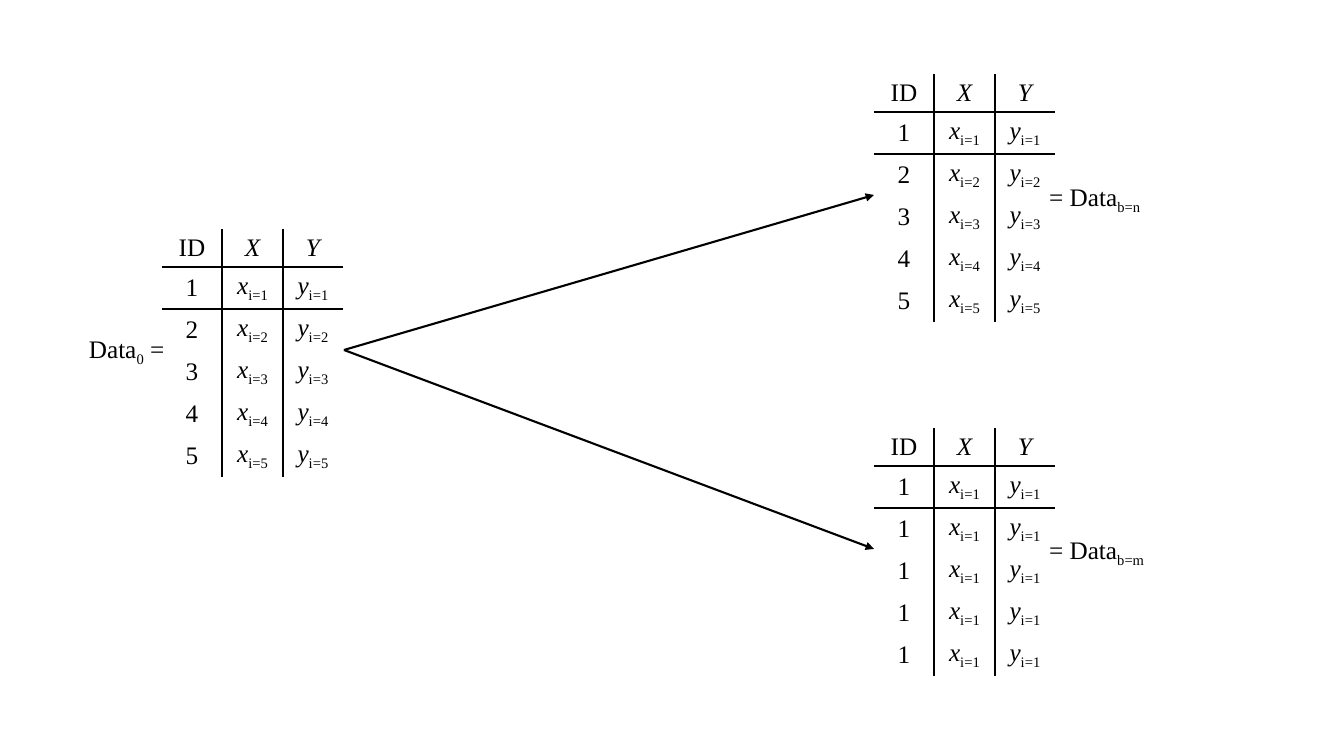
from dataclasses import dataclass

from lxml.etree import SubElement
from pptx import Presentation
from pptx.dml.color import RGBColor
from pptx.enum.shapes import MSO_CONNECTOR as Connector
from pptx.enum.text import MSO_ANCHOR as Anchor
from pptx.enum.text import MSO_AUTO_SIZE as AutoSize
from pptx.enum.text import PP_ALIGN as Align
from pptx.oxml.ns import qn
from pptx.slide import Slide
from pptx.table import _Cell as Cell
from pptx.util import Emu, Pt

EMU_PER_PX = 914400 / 100.8
SLIDE_WIDTH, SLIDE_HEIGHT = 1344, 756
COLUMN_WIDTHS = (60, 61, 60)
HEADER_HEIGHT, ROW_HEIGHT = 38, 42
LABEL_HEIGHT = 40
RULED_COLUMNS = RULED_ROWS = (0, 1)
NO_STYLE_NO_GRID = "{2D5ABB26-0587-4C30-8999-92F81FD0307C}"


@dataclass(frozen=True)
class Theme:
    font: str = "Times New Roman"
    text_size: float = 18
    ink: str = "000000"
    rule_width: float = 1
    arrow_width: float = 1.5
    subscript: int = -25


@dataclass(frozen=True)
class Piece:
    text: str
    italic: bool = False
    subscript: bool = False


@dataclass(frozen=True)
class Sample:
    left: int
    top: int
    ids: tuple[int, ...]


@dataclass(frozen=True)
class Label:
    left: int
    top: int
    width: int
    pieces: tuple[Piece, ...]


@dataclass(frozen=True)
class Arrow:
    start: tuple[int, int]
    end: tuple[int, int]


THEME = Theme()
HEADER = ((Piece("ID"),), (Piece("X", italic=True),), (Piece("Y", italic=True),))
SAMPLES = (
    Sample(162, 229, (1, 2, 3, 4, 5)),
    Sample(874, 428, (1, 1, 1, 1, 1)),
    Sample(874, 74, (1, 2, 3, 4, 5)),
)
LABELS = (
    Label(79, 328, 104, (Piece("Data"), Piece("0", subscript=True), Piece(" ="))),
    Label(1033, 176, 149, (Piece(" = Data"), Piece("b=n", subscript=True))),
    Label(1033, 529, 145, (Piece(" = Data"), Piece("b=m", subscript=True))),
)
ARROWS = (Arrow((344, 350), (874, 549)), Arrow((344, 350), (874, 195)))


def px(length: int) -> Emu:
    return Emu(round(length * EMU_PER_PX))


def write(paragraph, pieces: tuple[Piece, ...]) -> None:
    for piece in pieces:
        run = paragraph.add_run()
        run.text = piece.text
        run.font.name = THEME.font
        run.font.size = Pt(THEME.text_size)
        run.font.italic = piece.italic
        run.font.color.rgb = RGBColor.from_string(THEME.ink)
        if piece.subscript:
            run._r.get_or_add_rPr().set("baseline", str(THEME.subscript * 1000))


def rule_cell(cell: Cell, right: bool, bottom: bool) -> None:
    """Rule only right and bottom sides, so that each shared edge is drawn once."""
    properties = cell._tc.get_or_add_tcPr()
    for tag, ruled in (("a:lnR", right), ("a:lnB", bottom)):
        if ruled:
            line = SubElement(properties, qn(tag), w=str(Pt(THEME.rule_width)))
            fill = SubElement(line, qn("a:solidFill"))
            SubElement(fill, qn("a:srgbClr"), val=THEME.ink)


def sample_row(number: int) -> tuple[tuple[Piece, ...], ...]:
    index = Piece(f"i={number}", subscript=True)
    return (
        (Piece(str(number)),),
        (Piece("x", italic=True), index),
        (Piece("y", italic=True), index),
    )


def add_sample(slide: Slide, sample: Sample) -> None:
    rows = [HEADER, *map(sample_row, sample.ids)]
    heights = [HEADER_HEIGHT] + [ROW_HEIGHT] * len(sample.ids)
    frame = slide.shapes.add_table(
        len(rows), len(COLUMN_WIDTHS), px(sample.left), px(sample.top),
        px(sum(COLUMN_WIDTHS)), px(sum(heights)),
    )
    table = frame.table
    table.first_row = table.horz_banding = False
    next(frame.element.iter(qn("a:tableStyleId"))).text = NO_STYLE_NO_GRID
    for column, width in zip(table.columns, COLUMN_WIDTHS):
        column.width = px(width)
    for row_index, (row, height) in enumerate(zip(rows, heights)):
        table.rows[row_index].height = px(height)
        for column_index, pieces in enumerate(row):
            cell = table.cell(row_index, column_index)
            cell.margin_left = cell.margin_right = 0
            cell.margin_top = cell.margin_bottom = 0
            cell.vertical_anchor = Anchor.MIDDLE
            rule_cell(cell, column_index in RULED_COLUMNS, row_index in RULED_ROWS)
            cell.fill.background()
            paragraph = cell.text_frame.paragraphs[0]
            paragraph.alignment = Align.CENTER
            write(paragraph, pieces)


def add_label(slide: Slide, label: Label) -> None:
    box = slide.shapes.add_textbox(
        px(label.left), px(label.top), px(label.width), px(LABEL_HEIGHT)
    )
    box.text_frame.word_wrap = True
    box.text_frame.auto_size = AutoSize.SHAPE_TO_FIT_TEXT
    write(box.text_frame.paragraphs[0], label.pieces)


def add_arrow(slide: Slide, arrow: Arrow) -> None:
    connector = slide.shapes.add_connector(
        Connector.STRAIGHT, *map(px, arrow.start + arrow.end)
    )
    connector.line.width = Pt(THEME.arrow_width)
    connector.line.color.rgb = RGBColor.from_string(THEME.ink)
    properties = connector.element.spPr
    SubElement(properties.find(qn("a:ln")), qn("a:tailEnd"), type="triangle")
    SubElement(properties, qn("a:effectLst"))


def main() -> None:
    presentation = Presentation()
    presentation.slide_width = px(SLIDE_WIDTH)
    presentation.slide_height = px(SLIDE_HEIGHT)
    slide = presentation.slides.add_slide(presentation.slide_layouts[6])
    for sample in SAMPLES:
        add_sample(slide, sample)
    for label in LABELS:
        add_label(slide, label)
    for arrow in ARROWS:
        add_arrow(slide, arrow)
    presentation.save("out.pptx")


if __name__ == "__main__":
    main()
